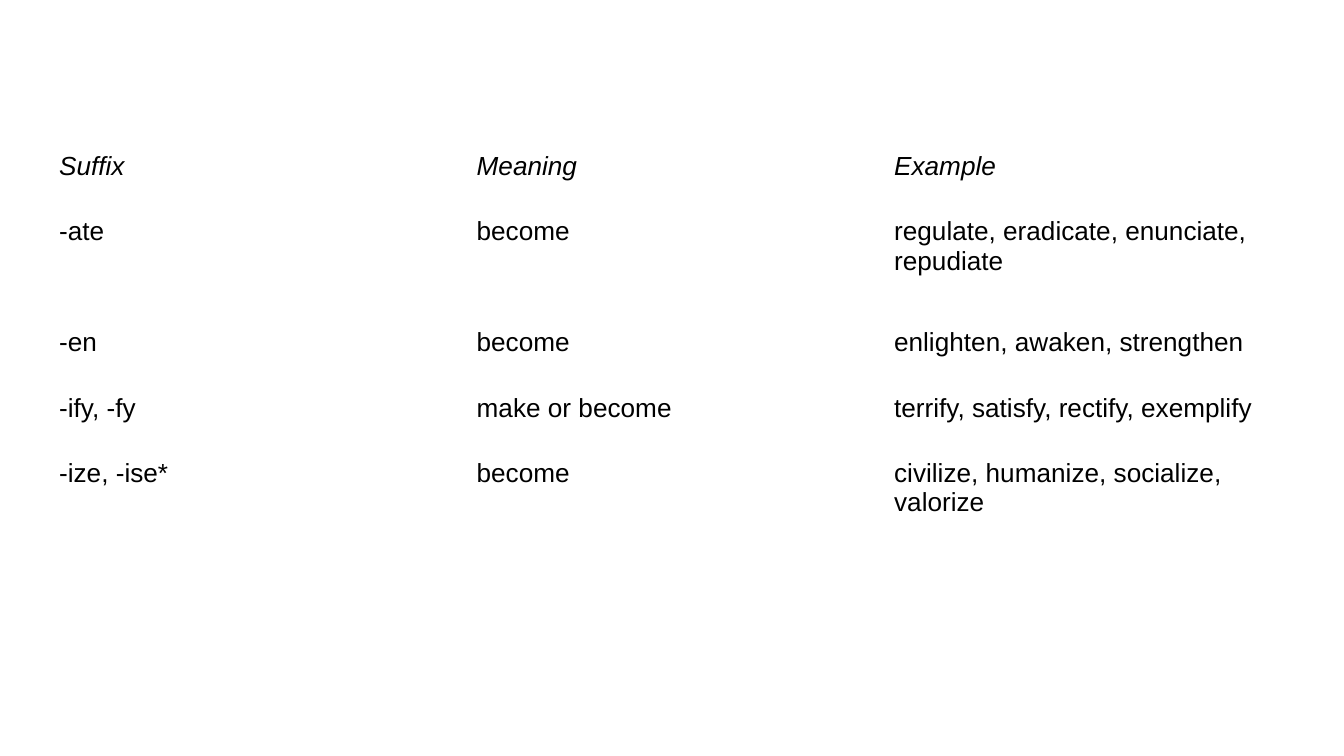
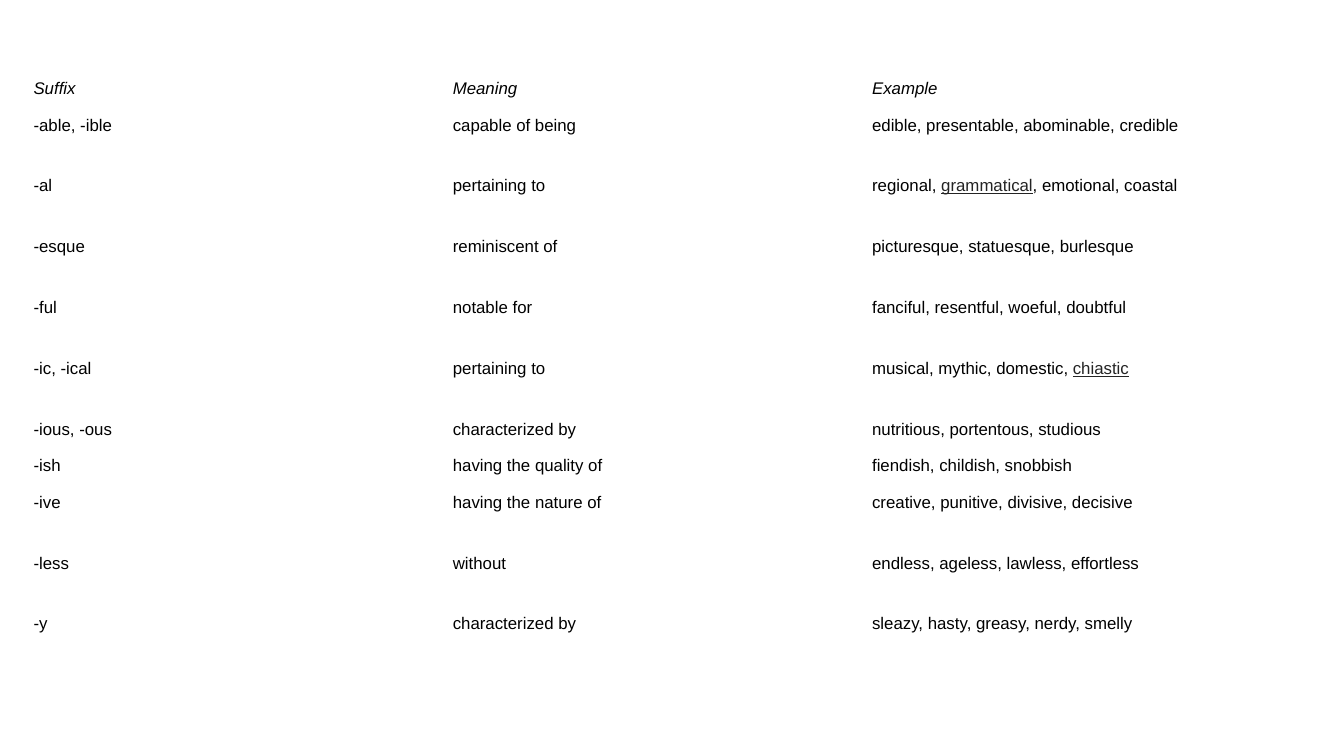
import pptx
import pptx.dml.color
import pptx.util

Inches = pptx.util.Inches

FONT, INK, LINK, PAPER = "Arial", "000000", "242424", "FFFFFF"
HEADER = ("Suffix", "Meaning", "Example")
LINKED = ("grammatical", "chiastic")

# Each row ends with True where it is a tall one.
VERB_SUFFIXES = [
    ("-ate", "become", "regulate, eradicate, enunciate, repudiate", True),
    ("-en", "become", "enlighten, awaken, strengthen", False),
    ("-ify, -fy", "make or become", "terrify, satisfy, rectify, exemplify", False),
    ("-ize, -ise*", "become", "civilize, humanize, socialize, valorize", True),
]
ADJECTIVE_SUFFIXES = [
    ("-able, -ible", "capable of being", "edible, presentable, abominable, credible", True),
    ("-al", "pertaining to", ("regional, ", "grammatical", ", emotional, coastal"), True),
    ("-esque", "reminiscent of", "picturesque, statuesque, burlesque", True),
    ("-ful", "notable for", "fanciful, resentful, woeful, doubtful", True),
    ("-ic, -ical", "pertaining to", ("musical, mythic, domestic, ", "chiastic"), True),
    ("-ious, -ous", "characterized by", "nutritious, portentous, studious", False),
    ("-ish", "having the quality of", "fiendish, childish, snobbish", False),
    ("-ive", "having the nature of", "creative, punitive, divisive, decisive", True),
    ("-less", "without", "endless, ageless, lawless, effortless", True),
    ("-y", "characterized by", "sleazy, hasty, greasy, nerdy, smelly", True),
]
# low and tall are the relative heights of the two kinds of row.
SLIDES = [
    dict(rows=VERB_SUFFIXES, box=(0.34, 1.08, 9.32, 3.11),
         low=10, tall=17, size=14, margins=(0.1, 0.05)),
    dict(rows=ADJECTIVE_SUFFIXES, box=(0.18, 0.56, 9.36, 4.44),
         low=3, tall=5, size=9, margins=(0.07, 0.03)),
]


def rgb(value):
    return pptx.dml.color.RGBColor.from_string(value)


def fill_cell(cell, content, size, margins, italic):
    cell.fill.solid()
    cell.fill.fore_color.rgb = rgb(PAPER)
    cell.margin_left = cell.margin_right = Inches(margins[0])
    cell.margin_top = cell.margin_bottom = Inches(margins[1])
    p = cell.text_frame.paragraphs[0]
    for text in (content,) if isinstance(content, str) else content:
        r = p.add_run()
        r.text = text
        r.font.name = FONT
        r.font.size = pptx.util.Pt(size)
        r.font.bold = False
        r.font.italic = italic
        r.font.underline = text in LINKED
        r.font.color.rgb = rgb(LINK if text in LINKED else INK)


def add_suffix_table(s, rows, box, low, tall, size, margins):
    lines = [(*HEADER, False), *rows]
    weights = [tall if line[-1] else low for line in lines]
    left, top, width, height = map(Inches, box)
    table = s.shapes.add_table(
        len(lines), len(HEADER), left, top, width, height).table
    table.first_row = table.horz_banding = False
    for column in table.columns:
        column.width = width // len(HEADER)
    for i, (line, weight) in enumerate(zip(lines, weights)):
        table.rows[i].height = height * weight // sum(weights)
        for j, content in enumerate(line[:-1]):
            fill_cell(table.cell(i, j), content, size, margins, italic=i == 0)


def main():
    prs = pptx.Presentation()
    prs.slide_width = Inches(10)
    prs.slide_height = prs.slide_width * 9 // 16
    for layout in SLIDES:
        s = prs.slides.add_slide(prs.slide_layouts[6])
        add_suffix_table(s, **layout)
    prs.save("out.pptx")


if __name__ == "__main__":
    main()
